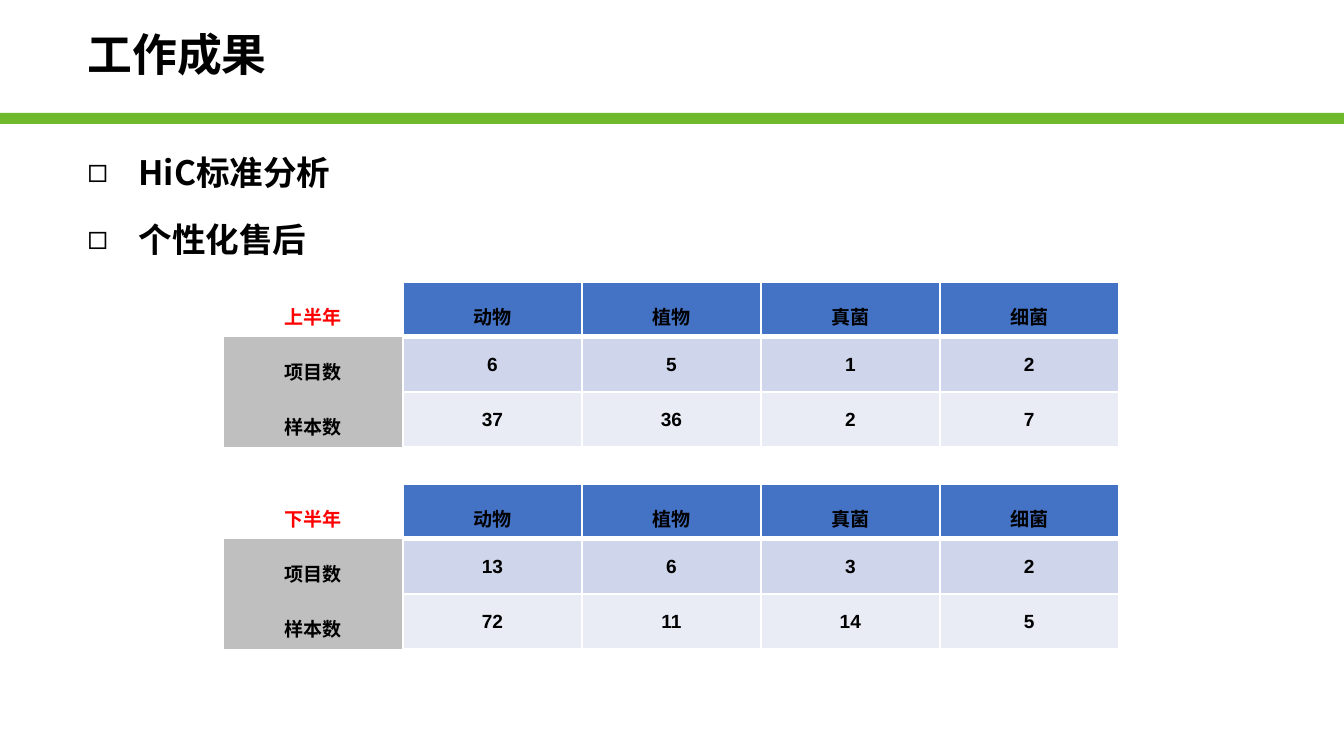
from dataclasses import dataclass

from lxml import etree
from pptx import Presentation
from pptx.dml.color import RGBColor
from pptx.enum.shapes import MSO_SHAPE
from pptx.enum.text import MSO_ANCHOR, MSO_AUTO_SIZE, PP_ALIGN
from pptx.oxml.ns import qn
from pptx.util import Pt

RECTANGLE = MSO_SHAPE.RECTANGLE
TOP, MIDDLE = MSO_ANCHOR.TOP, MSO_ANCHOR.MIDDLE
LEFT, CENTER = PP_ALIGN.LEFT, PP_ALIGN.CENTER
FIT_SHAPE = MSO_AUTO_SIZE.SHAPE_TO_FIT_TEXT
SLIDE_WIDTH, SLIDE_HEIGHT = 1344, 756
EMU_PER_PX = 9144000 / SLIDE_WIDTH
COLUMN_WIDTH, ROW_HEIGHT = 179, 55
BULLET_INDENT = 51


@dataclass(frozen=True)
class Theme:
    black: str = "000000"
    white: str = "FFFFFF"
    green: str = "6FB92D"
    red: str = "FF0000"
    header: str = "4472C4"
    label: str = "BFBFBF"
    bands: tuple = ("CFD5EA", "E9EBF5")
    cjk_font: str = "Noto Sans CJK SC"
    latin_font: str = "Arial"
    title_size: float = 24
    body_size: float = 18
    table_size: float = 10.2
    thin_line: float = 1
    thick_line: float = 3


@dataclass(frozen=True)
class HalfYear:
    name: str
    top: int
    projects: tuple
    samples: tuple


THEME = Theme()
SPECIES = ("动物", "植物", "真菌", "细菌")
TOPICS = ("HiC标准分析", "个性化售后")
HALF_YEARS = (
    HalfYear("上半年", 282, (6, 5, 1, 2), (37, 36, 2, 7)),
    HalfYear("下半年", 484, (13, 6, 3, 2), (72, 11, 14, 5)),
)


def px(length: int) -> int:
    return round(length * EMU_PER_PX)


def place(shape, left: int, top: int, width: int, height: int) -> None:
    shape.left, shape.top = px(left), px(top)
    shape.width, shape.height = px(width), px(height)


def write(paragraph, text: str, *, size: float, font: str = THEME.cjk_font,
          color: str = THEME.black, align=LEFT, spacing: float = 1,
          before: float = 0) -> None:
    paragraph.alignment = align
    paragraph.line_spacing = spacing
    paragraph.space_before = Pt(before)
    run = paragraph.add_run()
    run.text = text
    run.font.name = font
    run.font.size = Pt(size)
    run.font.bold = True
    run.font.color.rgb = RGBColor.from_string(color)
    east_asian = etree.SubElement(run.font._element, qn("a:ea"))
    east_asian.set("typeface", THEME.cjk_font)


def add_bullet(paragraph) -> None:
    properties = paragraph._p.get_or_add_pPr()
    properties.set("marL", str(px(BULLET_INDENT)))
    properties.set("indent", str(-px(BULLET_INDENT)))
    etree.SubElement(properties, qn("a:buChar")).set("char", "◻")


def set_borders(cell, widths: dict) -> None:
    properties = cell._tc.get_or_add_tcPr()
    for side in ("L", "R", "T", "B"):
        line = etree.SubElement(properties, qn(f"a:ln{side}"))
        if side in widths:
            line.set("w", str(Pt(widths[side])))
            fill = etree.SubElement(line, qn("a:solidFill"))
            etree.SubElement(fill, qn("a:srgbClr")).set("val", THEME.white)
        else:
            etree.SubElement(line, qn("a:noFill"))


def cell_fill(row: int, column: int) -> str:
    if column == 0:
        return THEME.label if row else THEME.white
    return THEME.bands[row - 1] if row else THEME.header


def cell_borders(row: int, column: int) -> dict:
    if column == 0:
        return {"R": THEME.thin_line}
    widths = dict.fromkeys("LRTB", THEME.thin_line)
    if row < 2:
        widths["T" if row else "B"] = THEME.thick_line
    return widths


def add_half_year(slide, half_year: HalfYear) -> None:
    rows = (
        (half_year.name, *SPECIES),
        ("项目数", *half_year.projects),
        ("样本数", *half_year.samples),
    )
    columns = len(rows[0])
    table = slide.shapes.add_table(
        len(rows), columns, px(224), px(half_year.top),
        px(COLUMN_WIDTH * columns), px(ROW_HEIGHT * len(rows))).table
    table.first_row = table.horz_banding = False
    for row, values in enumerate(rows):
        for column, value in enumerate(values):
            cell = table.cell(row, column)
            set_borders(cell, cell_borders(row, column))
            cell.fill.solid()
            cell.fill.fore_color.rgb = RGBColor.from_string(cell_fill(row, column))
            cell.vertical_anchor = TOP
            write(cell.text_frame.paragraphs[0], str(value),
                  size=THEME.table_size, font=THEME.latin_font,
                  color=THEME.black if row or column else THEME.red,
                  align=CENTER, spacing=1.5)


def add_bar(slide) -> None:
    bar = slide.shapes.add_shape(RECTANGLE, 0, px(113), px(SLIDE_WIDTH), px(11))
    bar.shadow.inherit = False
    bar.fill.solid()
    bar.fill.fore_color.rgb = RGBColor.from_string(THEME.green)
    bar.line.fill.background()


def fill_title(title) -> None:
    place(title, 74, 0, 1196, 113)
    title.text_frame.vertical_anchor = MIDDLE
    write(title.text_frame.paragraphs[0], "工作成果",
          size=THEME.title_size, spacing=0.9)


def fill_topics(body) -> None:
    place(body, 74, 125, 305, 144)
    frame = body.text_frame
    frame.auto_size = FIT_SHAPE
    frame.vertical_anchor = TOP
    for index, topic in enumerate(TOPICS):
        paragraph = frame.add_paragraph() if index else frame.paragraphs[0]
        add_bullet(paragraph)
        write(paragraph, topic, size=THEME.body_size, spacing=1.5,
              before=3.6 if index else 0)


def main() -> None:
    presentation = Presentation()
    presentation.slide_width = px(SLIDE_WIDTH)
    presentation.slide_height = px(SLIDE_HEIGHT)
    slide = presentation.slides.add_slide(presentation.slide_layouts[1])
    add_bar(slide)
    fill_title(slide.shapes.title)
    fill_topics(slide.placeholders[1])
    for half_year in HALF_YEARS:
        add_half_year(slide, half_year)
    presentation.save("out.pptx")


if __name__ == "__main__":
    main()
